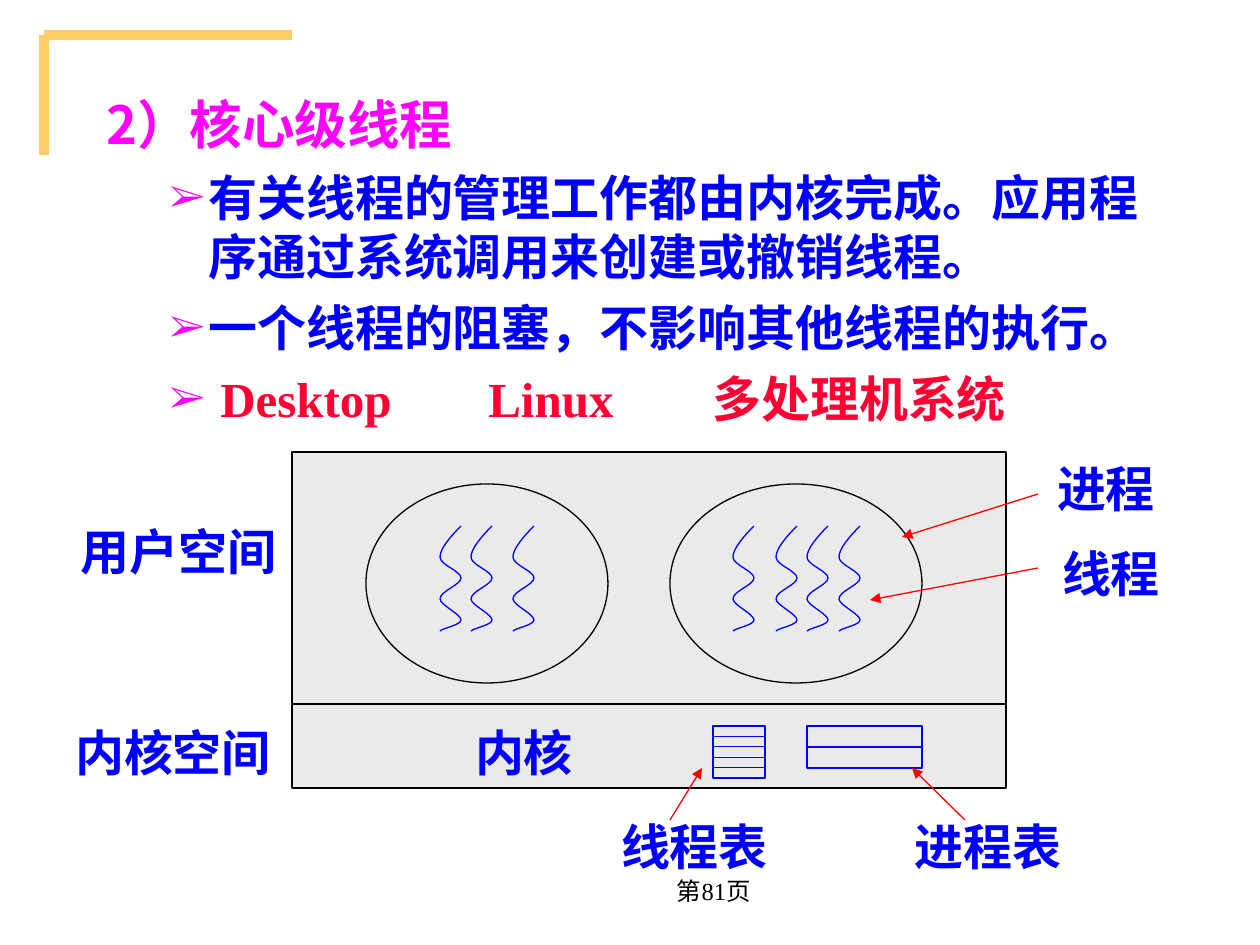
"""Builds the slide on kernel-level threads with its diagram of user and kernel space."""
from dataclasses import dataclass

from lxml.etree import SubElement
from pptx import Presentation
from pptx.dml.color import RGBColor as RGB
from pptx.enum.shapes import MSO_CONNECTOR as CONNECTOR, MSO_SHAPE as SHAPE
from pptx.enum.text import MSO_ANCHOR as ANCHOR, PP_ALIGN as ALIGN
from pptx.oxml.ns import qn
from pptx.util import Pt

SCALE = 914400 / 126


@dataclass(frozen=True)
class Theme:
    corner: str = "FFCC66"
    heading: str = "FF00FF"
    body: str = "0000FF"
    example: str = "FF0033"
    arrow: str = "FF0000"
    ink: str = "000000"
    panel: str = "EAEAEA"
    latin: str = "Times New Roman"
    cjk: str = "Noto Sans CJK SC"
    heading_size: int = 30
    body_size: int = 28
    page_size: int = 14
    thin: float = 0.75
    thick: int = 6


THEME = Theme()

HEADING = "2）核心级线程"
POINTS = [
    ("有关线程的管理工作都由内核完成。应用程序通过系统调用来创建或撤销线程。", THEME.cjk, THEME.body, 102, ()),
    ("一个线程的阻塞，不影响其他线程的执行。", THEME.cjk, THEME.body, 102, ()),
    ("Desktop\tLinux\t多处理机系统", THEME.latin, THEME.example, 114, (382, 606)),
]
BODY_BOX = (94, 86, 1071, 357)
BULLET_LEFT = 63
PAGE = ("第81页", (501, 859, 262, 63))
LABELS = [
    ("内核", (440, 716, 168, 72)),
    ("用户空间", (63, 515, 231, 72)),
    ("内核空间", (43, 716, 260, 72)),
    ("进程表", (881, 810, 214, 72)),
    ("线程表", (581, 810, 227, 72)),
    ("进程", (997, 452, 218, 72)),
    ("线程", (1038, 537, 146, 72)),
]
CORNER = [(44, 35, 292, 35), (44, 35, 44, 155)]
PANEL = (292, 452, 714, 336)
KERNEL_TOP = 704
PROCESSES = [
    ((366, 484, 242, 199), (440, 471, 513)),
    ((670, 484, 252, 199), (733, 776, 807, 839)),
]
THREAD_TOP = 526
WAVE = [(21, 0), (10, 11), (0, 23), (0, 31), (0, 39), (21, 45), (21, 52), (21, 59), (0, 65), (0, 73),
        (0, 79), (21, 88), (21, 94), (21, 99), (3, 102), (0, 105)]
TABLES = [((713, 726, 52, 52), 5), ((807, 726, 115, 42), 2)]
ARROWS = [(670, 820, 702, 768), (965, 820, 912, 768), (1038, 568, 870, 600), (1038, 494, 902, 537)]


def px(*lengths):
    return [round(length * SCALE) for length in lengths]


def set_line(target, color, width=THEME.thin):
    target.line.color.rgb = RGB.from_string(color)
    target.line.width = Pt(width)


def add_line(shapes, ends, color, width=THEME.thin, arrow=False):
    line = shapes.add_connector(CONNECTOR.STRAIGHT, *px(*ends))
    set_line(line, color, width)
    if arrow:
        SubElement(line.line._get_or_add_ln(), qn("a:tailEnd"), type="triangle")
    SubElement(line._element.spPr, qn("a:effectLst"))


def add_outline(shapes, preset, box, color, fill=None):
    outline = shapes.add_shape(preset, *px(*box))
    outline.shadow.inherit = False
    set_line(outline, color)
    if fill:
        outline.fill.solid()
        outline.fill.fore_color.rgb = RGB.from_string(fill)
    else:
        outline.fill.background()


def add_thread(shapes, left):
    (x, y), *rest = [(left + dx, THREAD_TOP + dy) for dx, dy in WAVE]
    builder = shapes.build_freeform(x, y, scale=SCALE)
    builder.add_line_segments(rest, close=False)
    thread = builder.convert_to_shape()
    thread.shadow.inherit = False
    thread.fill.background()
    set_line(thread, THEME.body)
    segments = list(thread._element.iter(qn("a:lnTo")))
    outline = segments[0].getparent()
    for start in range(0, len(segments), 3):
        curve = SubElement(outline, qn("a:cubicBezTo"))
        for segment in segments[start:start + 3]:
            curve.append(segment[0])
            outline.remove(segment)


def add_table_icon(shapes, box, rows):
    left, top, width, height = box
    add_outline(shapes, SHAPE.RECTANGLE, box, THEME.body)
    for row in range(1, rows):
        y = top + height * row / rows
        add_line(shapes, (left, y, left + width, y), THEME.body)


def add_frame(shapes, box, anchor=ANCHOR.TOP):
    frame = shapes.add_textbox(*px(*box)).text_frame
    frame.word_wrap = True
    frame.vertical_anchor = anchor
    return frame


def write(paragraph, text, size, color, latin=THEME.latin, bold=True, align=ALIGN.LEFT):
    paragraph.alignment = align
    run = paragraph.add_run()
    run.text = text
    for key, value in {"name": latin, "size": Pt(size), "bold": bold}.items():
        setattr(run.font, key, value)
    run.font.color.rgb = RGB.from_string(color)
    SubElement(run._r.get_or_add_rPr(), qn("a:ea"), typeface=THEME.cjk)


def set_bullet(paragraph, indent, stops):
    props = paragraph._p.get_or_add_pPr()
    margin, first = px(indent, BULLET_LEFT - indent)
    props.set("marL", str(margin))
    props.set("indent", str(first))
    SubElement(SubElement(props, qn("a:buClr")), qn("a:srgbClr"), val=THEME.heading)
    SubElement(props, qn("a:buSzPct"), val="80000")
    SubElement(props, qn("a:buFont"), typeface=THEME.latin)
    SubElement(props, qn("a:buChar"), char="➢")
    if stops:
        tabs = SubElement(props, qn("a:tabLst"))
        for stop in px(*stops):
            SubElement(tabs, qn("a:tab"), pos=str(stop), algn="l")


def add_body(shapes):
    frame = add_frame(shapes, BODY_BOX)
    write(frame.paragraphs[0], HEADING, THEME.heading_size, THEME.heading, THEME.cjk)
    for text, latin, color, indent, stops in POINTS:
        point = frame.add_paragraph()
        set_bullet(point, indent, stops)
        point.space_before = Pt(7)
        write(point, text, THEME.body_size, color, latin)


def add_diagram(shapes):
    left, _, width, _ = PANEL
    add_outline(shapes, SHAPE.RECTANGLE, PANEL, THEME.ink, THEME.panel)
    add_line(shapes, (left, KERNEL_TOP, left + width, KERNEL_TOP), THEME.ink)
    for process, threads in PROCESSES:
        add_outline(shapes, SHAPE.OVAL, process, THEME.ink)
        for thread_left in threads:
            add_thread(shapes, thread_left)
    for box, rows in TABLES:
        add_table_icon(shapes, box, rows)
    for label, box in LABELS:
        write(add_frame(shapes, box).paragraphs[0], label, THEME.body_size, THEME.body, align=ALIGN.CENTER)
    for ends in ARROWS:
        add_line(shapes, ends, THEME.arrow, arrow=True)


def main():
    deck = Presentation()
    deck.slide_width, deck.slide_height = px(1260, 945)
    shapes = deck.slides.add_slide(deck.slide_layouts[6]).shapes
    for ends in CORNER:
        add_line(shapes, ends, THEME.corner, THEME.thick)
    page, page_box = PAGE
    write(add_frame(shapes, page_box, ANCHOR.MIDDLE).paragraphs[0], page, THEME.page_size, THEME.ink,
          bold=False, align=ALIGN.RIGHT)
    add_body(shapes)
    add_diagram(shapes)
    deck.save("out.pptx")


if __name__ == "__main__":
    main()
